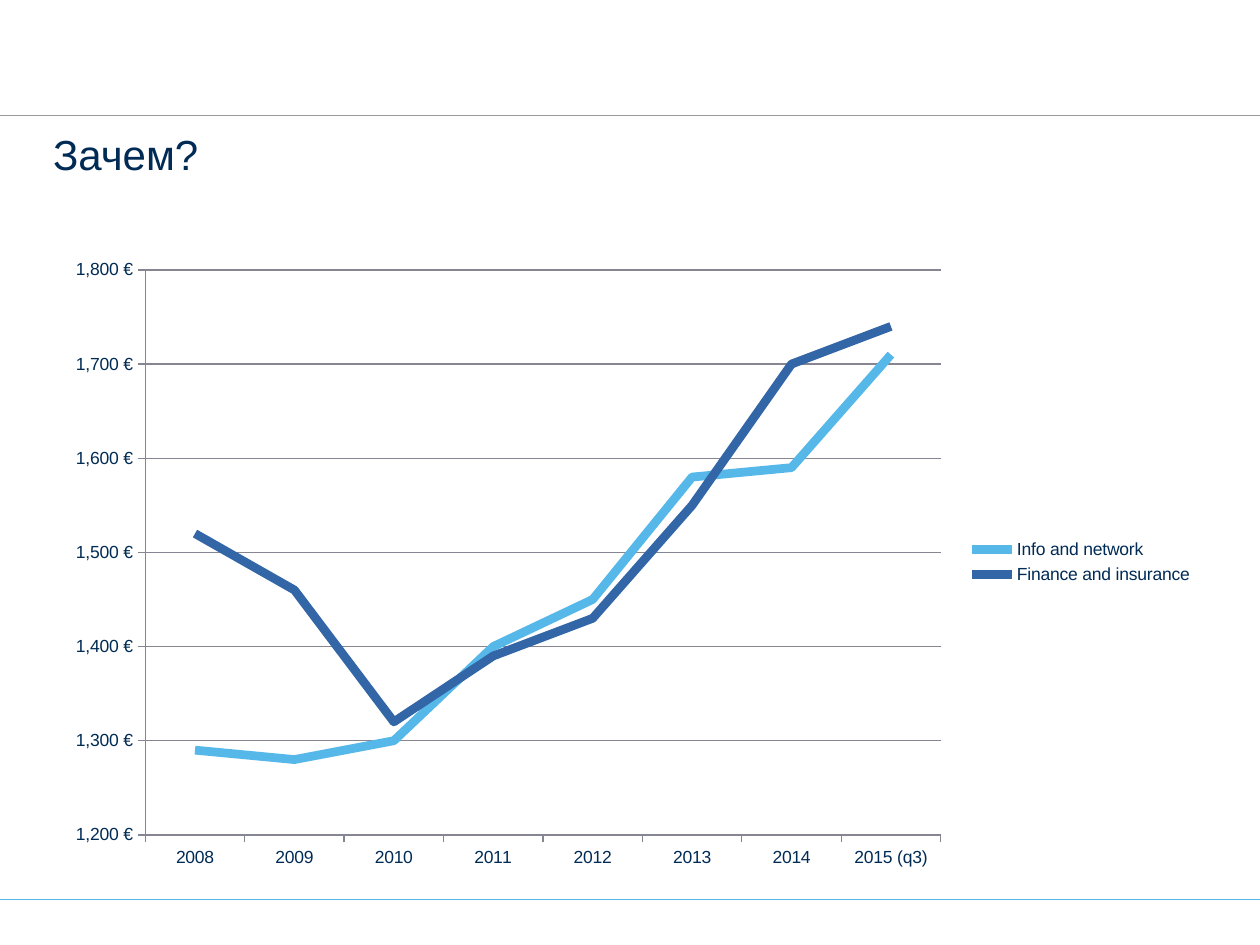
from lxml import etree
from pptx import Presentation
from pptx.chart.data import CategoryChartData
from pptx.dml.color import RGBColor
from pptx.enum.chart import XL_CHART_TYPE, XL_LEGEND_POSITION, XL_TICK_MARK
from pptx.enum.shapes import MSO_CONNECTOR
from pptx.enum.text import MSO_ANCHOR, PP_ALIGN
from pptx.oxml.ns import qn
from pptx.util import Cm, Pt

NAVY = RGBColor(0x00, 0x2B, 0x55)
SKY = RGBColor(0x56, 0xB7, 0xE9)
BLUE = RGBColor(0x33, 0x66, 0xA6)
GREY = RGBColor(0x9A, 0x9A, 0x9A)
AXIS_GREY = RGBColor(0x86, 0x86, 0x92)
FONT = "Arial"
LEFT, WIDTH = Cm(1.07), Cm(23.24)

presentation = Presentation()
presentation.slide_width, presentation.slide_height = Cm(25.4), Cm(19.05)
slide = presentation.slides.add_slide(presentation.slide_layouts[5])

# Header and footer rules
for top, color in ((Cm(2.33), GREY), (Cm(18.13), SKY)):
    rule = slide.shapes.add_connector(
        MSO_CONNECTOR.STRAIGHT, 0, top, presentation.slide_width, top)
    rule.line.color.rgb = color
    rule.line.width = Pt(0.75)
    etree.SubElement(rule.element.spPr, qn("a:effectLst"))

# Title
title = slide.shapes.title
title.left, title.top, title.width, title.height = LEFT, Cm(2.59), WIDTH, Cm(2.34)
frame = title.text_frame
frame.text = "Зачем?"
frame.margin_left = frame.margin_top = frame.margin_right = frame.margin_bottom = 0
frame.vertical_anchor = MSO_ANCHOR.TOP
paragraph = frame.paragraphs[0]
paragraph.alignment = PP_ALIGN.LEFT
title_font = paragraph.runs[0].font
title_font.name, title_font.size = FONT, Pt(24)
title_font.color.rgb = NAVY

# Chart data
chart_data = CategoryChartData(number_format='#,##0\\ "€"')
chart_data.categories = ["2008", "2009", "2010", "2011", "2012", "2013", "2014", "2015 (q3)"]
chart_data.add_series("Info and network", [1290, 1280, 1300, 1400, 1450, 1580, 1590, 1710])
chart_data.add_series("Finance and insurance", [1520, 1460, 1320, 1390, 1430, 1550, 1700, 1740])
chart = slide.shapes.add_chart(
    XL_CHART_TYPE.LINE, LEFT, Cm(4.93), WIDTH, Cm(12.8), chart_data).chart
chart.has_title = False
chart.font.name, chart.font.size = FONT, Pt(10)
chart.font.color.rgb = NAVY

# Legend
chart.has_legend = True
chart.legend.position = XL_LEGEND_POSITION.RIGHT
chart.legend.include_in_layout = False

# Lines
plot = chart.plots[0]
plot.vary_by_categories = False
for series, color in zip(plot.series, (SKY, BLUE)):
    series.smooth = False
    series.format.line.color.rgb = color
    series.format.line.width = Pt(5)

# Axes and gridlines
value_axis = chart.value_axis
value_axis.minimum_scale, value_axis.maximum_scale = 1200, 1800
value_axis.major_unit = 100
value_axis.has_major_gridlines = True
value_axis.tick_labels.number_format = '#,##0\\ "€"'
value_axis.tick_labels.number_format_is_linked = False
for axis in (chart.category_axis, value_axis):
    axis.major_tick_mark = XL_TICK_MARK.OUTSIDE
    axis.minor_tick_mark = XL_TICK_MARK.NONE
for part in (chart.category_axis, value_axis, value_axis.major_gridlines):
    part.format.line.color.rgb = AXIS_GREY
    part.format.line.width = Pt(0.75)

# Plot area position, as fractions of the chart
plot_area = plot._element.getparent()
for old_layout in plot_area.findall(qn("c:layout")):
    plot_area.remove(old_layout)
layout = etree.Element(qn("c:layout"))
plot_area.insert(0, layout)
manual = etree.SubElement(layout, qn("c:manualLayout"))
for tag, value in (("layoutTarget", "inner"), ("xMode", "edge"), ("yMode", "edge"),
                   ("x", "0.08"), ("y", "0.04"), ("w", "0.69"), ("h", "0.89")):
    etree.SubElement(manual, qn("c:" + tag)).set("val", value)

presentation.save("out.pptx")
